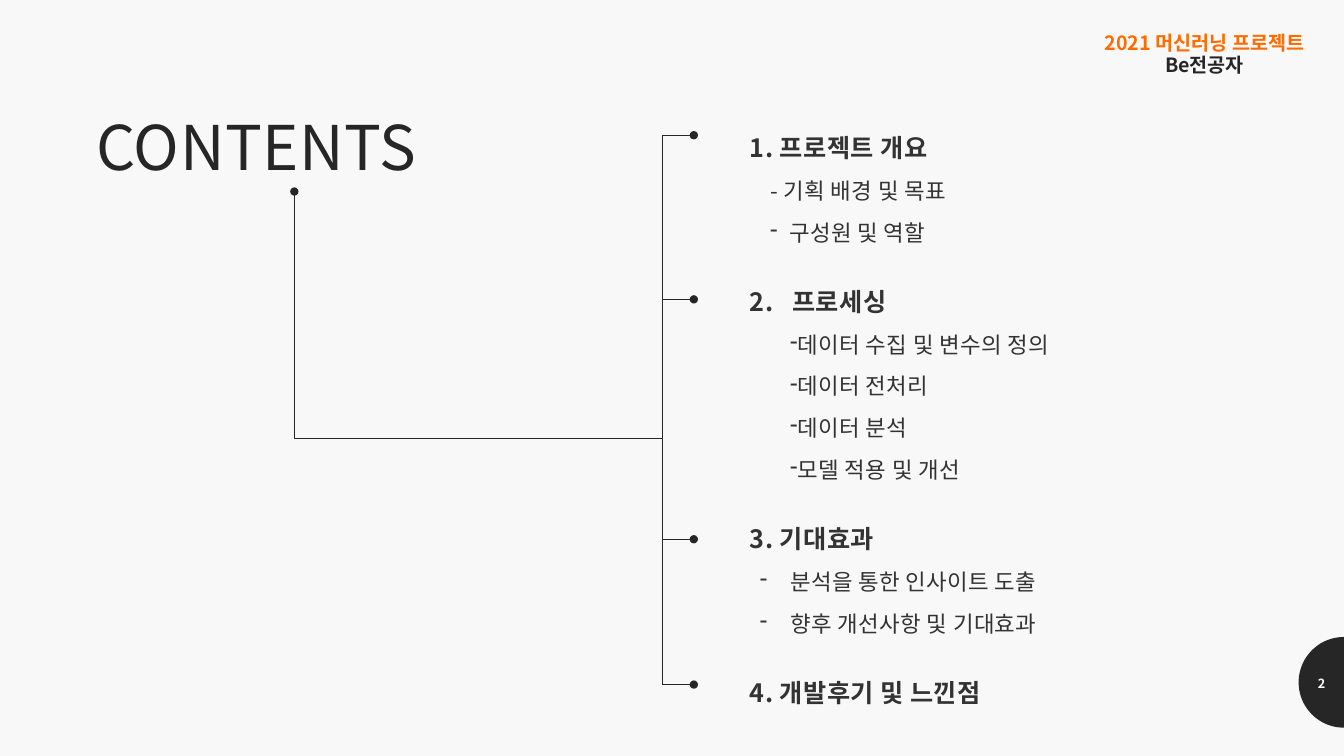
from dataclasses import dataclass
from math import cos, pi, sin

from lxml.etree import SubElement
from pptx import Presentation
from pptx.dml.color import RGBColor
from pptx.enum.shapes import MSO_CONNECTOR
from pptx.enum.text import MSO_ANCHOR, PP_ALIGN
from pptx.oxml.ns import qn
from pptx.util import Inches, Pt


@dataclass(frozen=True)
class Theme:
    font: str = "Noto Sans CJK KR"
    back: str = "F8F8F8"
    dark: str = "262626"
    body: str = "333333"
    white: str = "FFFFFF"
    accent: str = "FE6B00"
    title: int = 44
    head: int = 18
    item: int = 16
    label: int = 14
    page: int = 9
    line: float = 0.5


class Board:
    """Draws styled elements on a slide with a grid of 160 columns and 90 rows."""

    def __init__(self, deck, theme):
        self.theme = theme
        self.cell = deck.slide_width / 160
        self.slide = deck.slides.add_slide(deck.slide_layouts[6])
        self.paint(self.slide.background.fill, theme.back)

    def grid(self, *cells):
        return [round(cell * self.cell) for cell in cells]

    def paint(self, fill, color):
        fill.solid()
        fill.fore_color.rgb = RGBColor.from_string(color)

    def apply(self, target, values):
        for name, value in values.items():
            setattr(target, name, value)

    def box(self, place, inset=(0.12, 0.12, 0.12, 0.1), **form):
        frame = self.slide.shapes.add_textbox(*self.grid(*place)).text_frame
        sides = ("margin_left", "margin_top", "margin_right", "margin_bottom")
        self.apply(frame, dict(zip(sides, map(Inches, inset))))
        self.apply(frame, {"word_wrap": True, **form})
        return frame

    def para(self, frame, margin=0, indent=0, bullet=None, **form):
        first = frame.paragraphs[0]
        para = frame.add_paragraph() if first.runs else first
        self.apply(para, form)
        props = para._p.get_or_add_pPr()
        props.set("marL", str(Inches(margin)))
        props.set("indent", str(Inches(indent)))
        if bullet:
            SubElement(props, qn("a:buChar"), char=bullet)
        else:
            SubElement(props, qn("a:buNone"))
        return para

    def run(self, para, text, size, color, bold=False, track=0):
        run = para.add_run()
        run.text = text
        self.apply(run.font, {"name": self.theme.font, "size": Pt(size), "bold": bold})
        self.paint(run.font.fill, color)
        props = run._r.get_or_add_rPr()
        props.set("spc", str(track))
        SubElement(props, qn("a:ea"), typeface=self.theme.font)

    def line(self, start, end, kind=MSO_CONNECTOR.STRAIGHT, dot=None):
        line = self.slide.shapes.add_connector(kind, *self.grid(*start, *end))
        line.line.width = Pt(self.theme.line)
        self.paint(line.line.fill, self.theme.dark)
        if dot:
            SubElement(line.line._get_or_add_ln(), qn(dot), type="oval")
        SubElement(line._element.spPr, qn("a:effectLst"))
        return line

    def elbow(self, start, end):
        (left, top), (right, low) = start, end
        mid_x, mid_y = (left + right) / 2, (top + low) / 2
        half_w, half_h = (right - left) / 2, (low - top) / 2
        line = self.line((mid_x + half_h, mid_y - half_w),
                         (mid_x - half_h, mid_y + half_w),
                         MSO_CONNECTOR.ELBOW, "a:headEnd")
        line._element.spPr.xfrm.set("rot", str(270 * 60000))

    def half_disc(self, x, y, radius, steps=52):
        turns = [pi / 2 + pi * step / steps for step in range(steps + 1)]
        points = [self.grid(x + radius * cos(turn), y + radius * sin(turn))
                  for turn in turns]
        pen = self.slide.shapes.build_freeform(*points[0])
        pen.add_line_segments(points[1:], close=True)
        disc = pen.convert_to_shape()
        disc.shadow.inherit = False
        self.paint(disc.fill, self.theme.dark)
        disc.line.fill.background()


TOPICS = [
    ("1. 프로젝트 개요", {}, [
        ("- 기획 배경 및 목표", {"indent": 0.2}),
        ("구성원 및 역할", {"margin": 0.39, "indent": -0.19, "bullet": "-"}),
    ]),
    ("2.\t프로세싱", {"margin": 0.42, "indent": -0.42}, [
        (text, {"margin": 0.2, "indent": 0.2, "bullet": "-"})
        for text in ("데이터 수집 및 변수의 정의", "데이터 전처리",
                     "데이터 분석", "모델 적용 및 개선")
    ]),
    ("3. 기대효과", {}, [
        (text, {"margin": 0.4, "indent": -0.3, "bullet": "-"})
        for text in ("분석을 통한 인사이트 도출", "향후 개선사항 및 기대효과")
    ]),
    ("4. 개발후기 및 느낀점", {}, []),
]


def main():
    theme = Theme()
    deck = Presentation()
    deck.slide_width, deck.slide_height = Inches(13.333), Inches(7.5)
    board = Board(deck, theme)

    board.half_disc(160, 81.24, 5.4)
    page = board.box((154.65, 78.84, 5.35, 4.8), vertical_anchor=MSO_ANCHOR.MIDDLE)
    board.run(board.para(page, alignment=PP_ALIGN.CENTER), "2",
              theme.page, theme.white, True)

    title = board.box((10, 10, 50.3, 12.8))
    board.run(board.para(title, line_spacing=Pt(61.7)), "CONTENTS",
              theme.title, theme.dark, track=40)

    label = board.box((128.28, 3.36, 30.24, 3.12), (0.08, 0.04, 0.08, 0.04))
    para = board.para(label, alignment=PP_ALIGN.CENTER, line_spacing=Pt(15.7))
    board.run(para, "2021 머신러닝 프로젝트", theme.label, theme.accent, True)
    para.add_line_break()
    board.run(para, "Be전공자", theme.label, theme.dark, True)

    topics = board.box((87.84, 13.8, 72, 71.9))
    for rank, (head, form, items) in enumerate(TOPICS):
        para = board.para(topics, line_spacing=Pt(24.5), space_after=Pt(4),
                          space_before=Pt(22 if rank else 0), **form)
        board.run(para, head, theme.head, theme.body, True, 30)
        for text, form in items:
            para = board.para(topics, line_spacing=Pt(21.75), space_after=Pt(4),
                              space_before=Pt(4), **form)
            board.run(para, text, theme.item, theme.body, track=30)

    trunk, tip, top, low = 78.84, 82.6, 16.1, 81.5
    board.elbow((35.04, 22.8), (trunk, low))
    board.line((trunk, top), (trunk, (22.8 + low) / 2))
    for row in (top, 35.64, 64.2, low):
        board.line((trunk, row), (tip, row), dot="a:tailEnd")

    deck.save("out.pptx")


if __name__ == "__main__":
    main()
